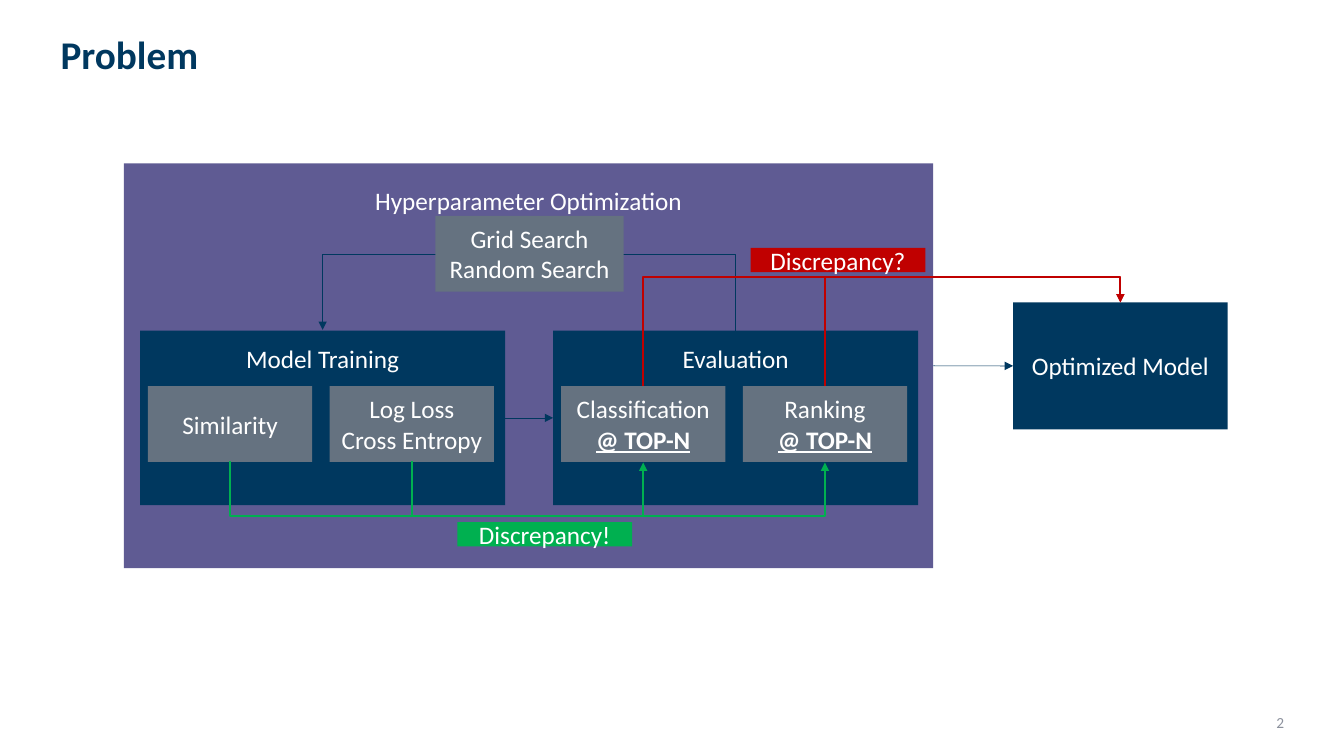
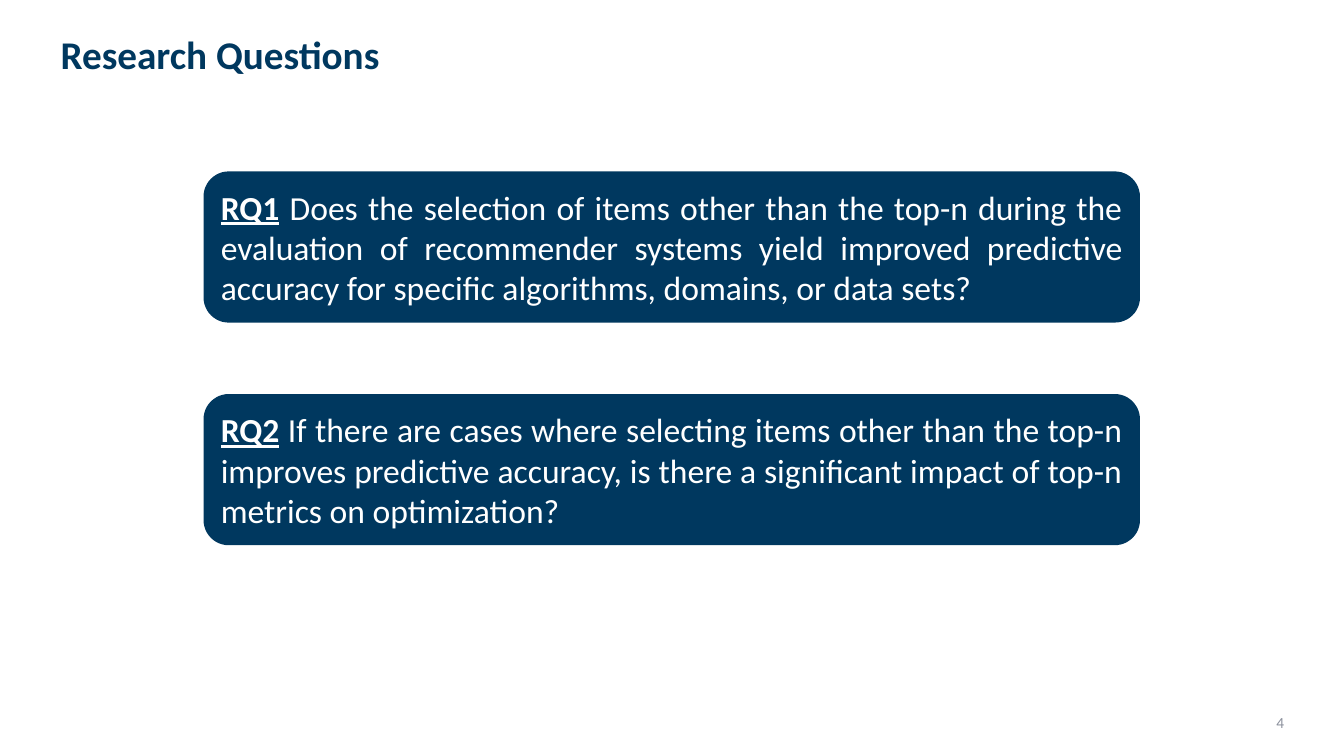
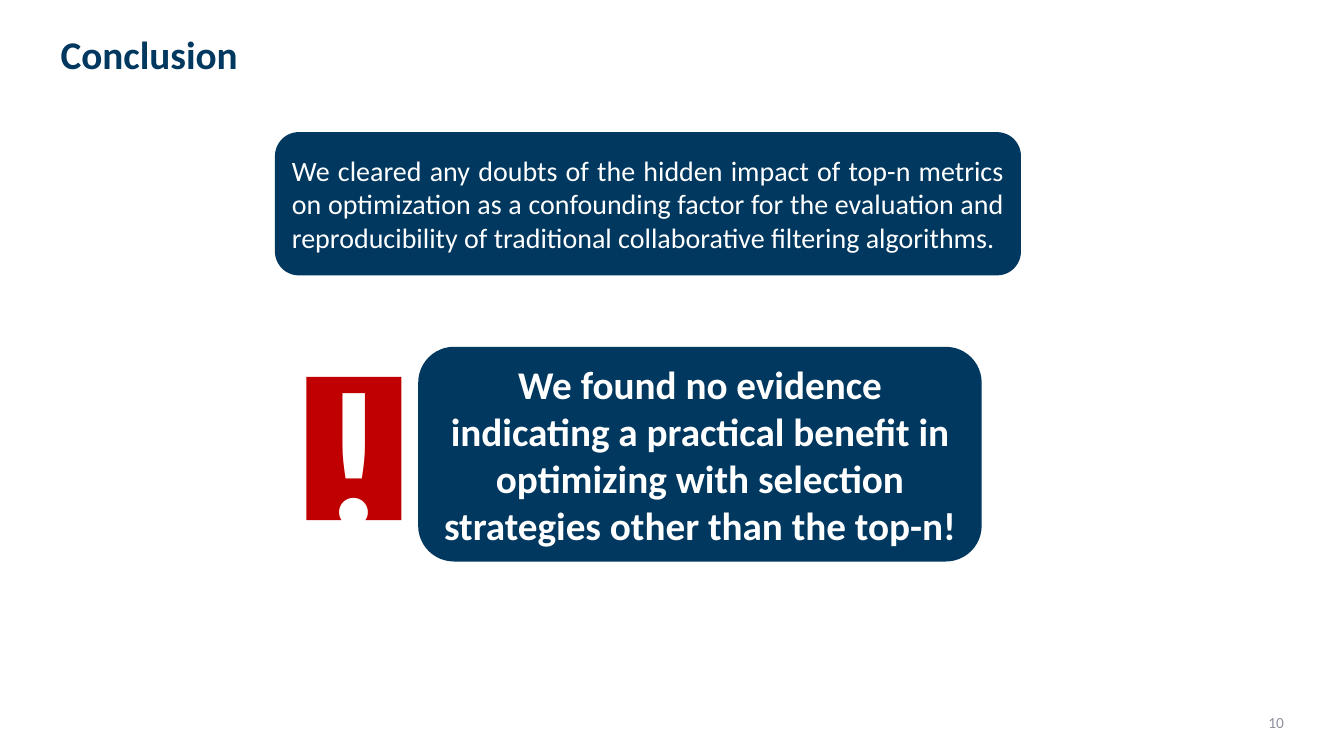
from lxml.etree import SubElement
from pptx import Presentation
from pptx.dml.color import RGBColor
from pptx.enum.shapes import MSO_CONNECTOR, MSO_SHAPE
from pptx.enum.text import MSO_ANCHOR, PP_ALIGN
from pptx.oxml.ns import qn
from pptx.util import Cm, Pt

NAVY, PURPLE, SLATE = "00385F", "5F5B93", "657280"
GREEN, RED, WHITE, GREY = "00B050", "C00000", "FFFFFF", "8C919D"
TOP, LEFT, BOTTOM, RIGHT = range(4)

prs = Presentation()
prs.slide_width, prs.slide_height = Cm(33.87), Cm(19.05)


def add_box(s, pos, lines, fill=None, size=18, color=WHITE, bold=False,
            align=PP_ALIGN.CENTER, kind=MSO_SHAPE.RECTANGLE, top=None):
    pos = [Cm(v) for v in pos]
    if fill:
        sp = s.shapes.add_shape(kind, *pos)
        sp.shadow.inherit = False
        sp.fill.solid()
        sp.fill.fore_color.rgb = RGBColor.from_string(fill)
        sp.line.fill.background()
    else:
        sp = s.shapes.add_textbox(*pos)
    tf = sp.text_frame
    tf.word_wrap = True
    tf.vertical_anchor = MSO_ANCHOR.MIDDLE
    if top is not None:
        tf.vertical_anchor = MSO_ANCHOR.TOP
        tf.margin_left = tf.margin_right = tf.margin_bottom = 0
        tf.margin_top = Cm(top)
    tf.text = lines
    for p in tf.paragraphs:
        p.alignment = align
        p.font.name = "Calibri"
        p.font.size = Pt(size)
        p.font.bold = bold
        p.font.color.rgb = RGBColor.from_string(color)
    return sp


def add_link(s, start, start_site, end, end_site, color, width, bend_y=None):
    kind = MSO_CONNECTOR.STRAIGHT if bend_y is None else MSO_CONNECTOR.ELBOW
    c = s.shapes.add_connector(kind, 0, 0, 0, 0)
    c.begin_connect(start, start_site)
    c.end_connect(end, end_site)
    c.line.color.rgb = RGBColor.from_string(color)
    c.line.width = Pt(width)
    SubElement(c.line._get_or_add_ln(), qn("a:tailEnd"), type="triangle")
    spPr = c._element.spPr
    SubElement(spPr, qn("a:effectLst"))
    if bend_y is not None:
        x1, y1, x2, y2 = c.begin_x, c.begin_y, c.end_x, c.end_y
        w, h = max(abs(y2 - y1), Cm(0.03)), abs(x2 - x1)
        c.left, c.top = (x1 + x2 - w) // 2, (y1 + y2 - h) // 2
        c.width, c.height = w, h
        xfrm = spPr.find(qn("a:xfrm"))
        xfrm.set("rot", str(270 * 60000))
        xfrm.set("flipH", str(int(start_site == BOTTOM)))
        xfrm.set("flipV", str(int(x2 < x1)))
        bend = round(abs(Cm(bend_y) - y1) / w * 100000)
        SubElement(spPr.find(qn("a:prstGeom")).find(qn("a:avLst")),
                   qn("a:gd"), name="adj1", fmla=f"val {bend}")


slides = []
for title, number in [("Problem", 2), ("Research Questions", 4), ("Conclusion", 10)]:
    s = prs.slides.add_slide(prs.slide_layouts[6])
    sp = add_box(s, (1.53, 0.91, 30.81, 2.39), title, size=28, color=NAVY,
                 bold=True, align=PP_ALIGN.LEFT, top=0)
    sp.text_frame.paragraphs[0].line_spacing = 0.9
    add_box(s, (31.55, 17.93, 0.81, 0.41), str(number), size=11, color=GREY,
            align=PP_ALIGN.RIGHT, top=0.03)
    slides.append(s)
problem, questions, conclusion = slides

s = problem
optimization = add_box(s, (3.12, 4.12, 20.4, 10.2), "Hyperparameter Optimization",
                       PURPLE, top=0.55)
model = add_box(s, (25.53, 7.62, 5.41, 3.2), "Optimized Model", NAVY)
stages, steps = [], []
for x, name, parts in [
    (3.53, "Model Training", ["Similarity", "Log Loss Cross Entropy"]),
    (13.94, "Evaluation", ["Classification\n@ TOP-N", "Ranking\n@ TOP-N"]),
]:
    stages.append(add_box(s, (x, 8.33, 9.2, 4.4), name, NAVY, top=0.33))
    for i, part in enumerate(parts):
        sp = add_box(s, (x + 0.2 + 4.58 * i, 9.73, 4.14, 1.91), part, SLATE)
        for p in sp.text_frame.paragraphs[1:]:
            p.font.bold = p.font.underline = True
        steps.append(sp)
training, evaluation = stages
similarity, loss, classification, ranking = steps

add_link(s, evaluation, TOP, training, TOP, NAVY, 0.5, 6.4)
add_link(s, training, RIGHT, evaluation, LEFT, NAVY, 0.5)
add_link(s, optimization, RIGHT, model, LEFT, NAVY, 0.5)
for start, end in [(similarity, classification), (loss, ranking)]:
    add_link(s, start, BOTTOM, end, BOTTOM, GREEN, 1.5, 13.03)
for start in (classification, ranking):
    add_link(s, start, TOP, model, TOP, RED, 1.5, 6.99)
add_box(s, (10.97, 5.44, 4.75, 1.91), "Grid Search\nRandom Search", SLATE)
add_box(s, (11.53, 13.16, 4.4, 0.61), "Discrepancy!", GREEN)
add_box(s, (18.92, 6.25, 4.4, 0.61), "Discrepancy?", RED)

for i, question in enumerate([
    " Does the selection of items other than the top-n during the evaluation of "
    "recommender systems yield improved predictive accuracy for specific "
    "algorithms, domains, or data sets?",
    " If there are cases where selecting items other than the top-n improves "
    "predictive accuracy, is there a significant impact of top-n metrics on "
    "optimization?",
]):
    sp = add_box(questions, (5.13, 4.32 + 5.61 * i, 23.6, 3.81), f"RQ{i + 1}", NAVY,
                 size=24, align=PP_ALIGN.JUSTIFY, kind=MSO_SHAPE.ROUNDED_RECTANGLE)
    p = sp.text_frame.paragraphs[0]
    r = p.runs[0]
    r.font.bold = r.font.underline = True
    p.add_run().text = question

add_box(conclusion, (6.93, 3.33, 18.8, 3.61),
        "We cleared any doubts of the hidden impact of top-n metrics on optimization "
        "as a confounding factor for the evaluation and reproducibility of "
        "traditional collaborative filtering algorithms.",
        NAVY, size=20, align=PP_ALIGN.JUSTIFY, kind=MSO_SHAPE.ROUNDED_RECTANGLE)
add_box(conclusion, (10.54, 8.74, 14.2, 5.41),
        "We found no evidence indicating a practical benefit in optimizing with "
        "selection strategies other than the top-n!",
        NAVY, size=28, bold=True, kind=MSO_SHAPE.ROUNDED_RECTANGLE)
add_box(conclusion, (7.72, 9.5, 2.4, 3.61), "!", RED, size=138, bold=True)

prs.save("out.pptx")
